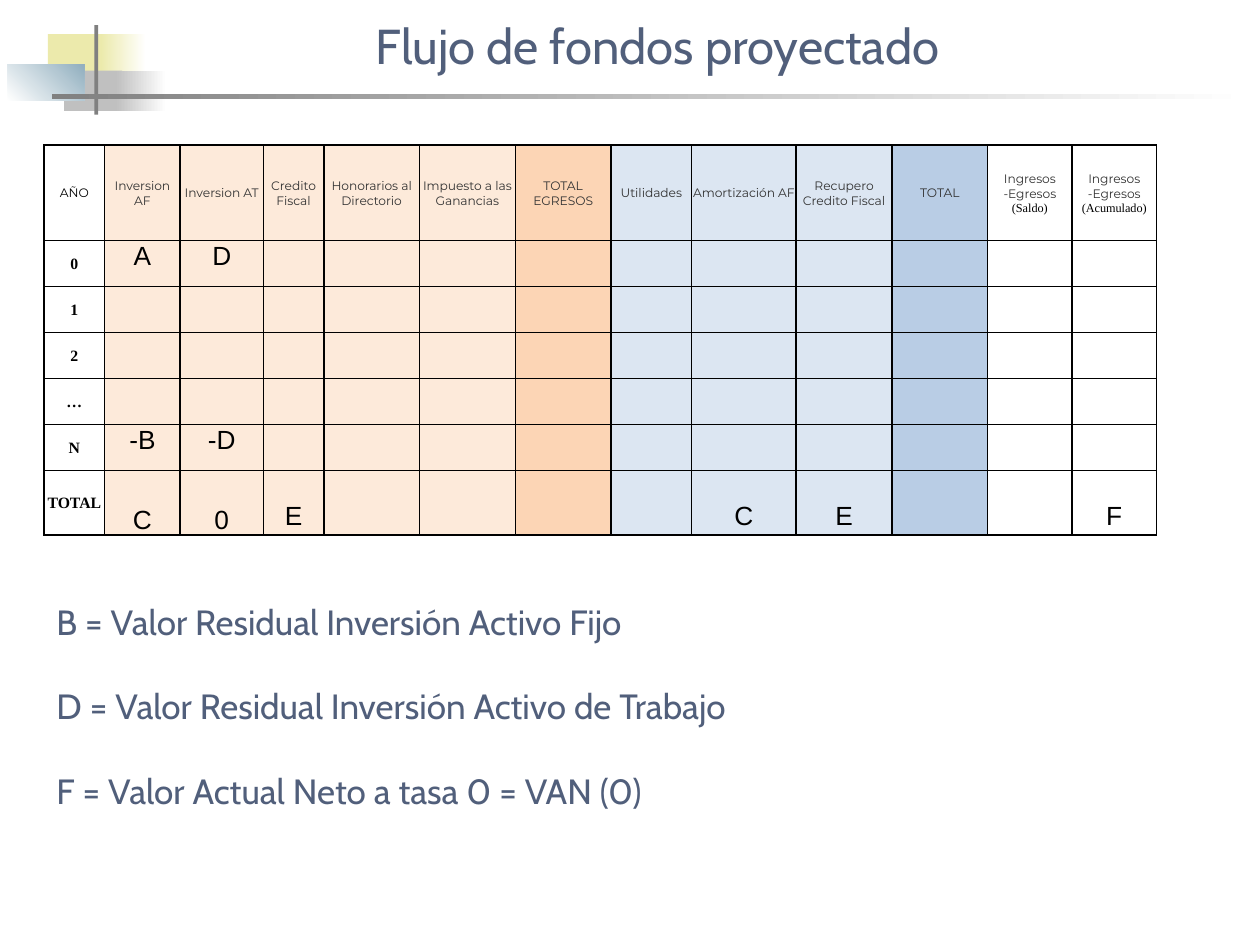
from lxml import etree
from pptx import Presentation
from pptx.dml.color import RGBColor
from pptx.enum.shapes import MSO_SHAPE
from pptx.enum.text import MSO_ANCHOR, PP_ALIGN
from pptx.oxml.ns import qn
from pptx.util import Inches, Pt

RECT = MSO_SHAPE.RECTANGLE
TOP, MID, LOW = MSO_ANCHOR.TOP, MSO_ANCHOR.MIDDLE, MSO_ANCHOR.BOTTOM
LEFT, CENTER = PP_ALIGN.LEFT, PP_ALIGN.CENTER
BLACK = RGBColor(0, 0, 0)
DARK = RGBColor(0x33, 0x33, 0x33)
WHITE = RGBColor(0xFF, 0xFF, 0xFF)
SLATE = RGBColor(0x51, 0x5F, 0x7B)
YELLOW = RGBColor(0xEC, 0xEA, 0xAC)
SILVER = RGBColor(0xC0, 0xC0, 0xC0)
GRAY = RGBColor(0x80, 0x80, 0x80)
STEEL = RGBColor(0x91, 0xAF, 0xBF)
PEACH = RGBColor(0xFD, 0xEA, 0xDA)
ORANGE = RGBColor(0xFC, 0xD5, 0xB5)
PALE = RGBColor(0xDC, 0xE6, 0xF2)
BLUE = RGBColor(0xB9, 0xCD, 0xE5)

TITLE = "Flujo de fondos proyectado"
NOTES = [
    "B = Valor Residual Inversión Activo Fijo",
    "D = Valor Residual Inversión Activo de Trabajo",
    "F = Valor Actual Neto a tasa 0 = VAN (0)",
]
DECOR = [
    (0.38, 0.27, 0.48, 0.32, [YELLOW], 0),
    (0.8, 0.27, 0.36, 0.32, [YELLOW, WHITE], 0),
    (0.51, 0.56, 0.46, 0.32, [SILVER], 0),
    (0.92, 0.56, 0.4, 0.32, [SILVER, WHITE], 0),
    (0.06, 0.51, 0.61, 0.29, [WHITE, STEEL], 45),
    (0.75, 0.2, 0.03, 0.71, [GRAY], 0),
    (0.41, 0.75, 9.51, 0.04, [GRAY, WHITE], 0),
]
COLS = [
    ("AÑO", "", 0.48, None),
    ("Inversion AF", "", 0.6, PEACH),
    ("Inversion AT", "", 0.66, PEACH),
    ("Credito Fiscal", "", 0.48, PEACH),
    ("Honorarios al Directorio", "", 0.76, PEACH),
    ("Impuesto a las Ganancias", "", 0.76, PEACH),
    ("TOTAL EGRESOS", "", 0.76, ORANGE),
    ("Utilidades", "", 0.64, PALE),
    ("Amortización AF", "", 0.83, PALE),
    ("Recupero Credito Fiscal", "", 0.76, PALE),
    ("TOTAL", "", 0.76, BLUE),
    ("Ingresos -Egresos", " (Saldo)", 0.67, None),
    ("Ingresos -Egresos", " (Acumulado)", 0.67, None),
]
YEARS = ["0", "1", "2", "…", "N", "TOTAL"]
HIGH = [0.76] + [0.365] * 5 + [0.51]
MARKS = {
    (1, 1): ("A", TOP, 0), (1, 2): ("D", TOP, 0),
    (5, 1): ("-B", TOP, 0), (5, 2): ("-D", TOP, 0),
    (6, 1): ("C", LOW, 0), (6, 2): ("0", LOW, 0),
    (6, 3): ("E", LOW, 0.03), (6, 8): ("C", LOW, 0.03),
    (6, 9): ("E", LOW, 0.03), (6, 12): ("F", LOW, 0.03),
}


def write(para, text, size, face, color, bold=False):
    run = para.add_run()
    run.text = text
    font = run.font
    font.size, font.name, font.bold = Pt(size), face, bold
    font.color.rgb = color


def border(cell):
    props = cell._tc.get_or_add_tcPr()
    for spot, side in enumerate(("a:lnL", "a:lnR", "a:lnT", "a:lnB")):
        line = etree.Element(qn(side), w=str(Pt(1)))
        fill = etree.SubElement(line, qn("a:solidFill"))
        etree.SubElement(fill, qn("a:srgbClr"), val=str(BLACK))
        props.insert(spot, line)


prs = Presentation()
prs.slide_width, prs.slide_height = Inches(10), Inches(7.5)
slide = prs.slides.add_slide(prs.slide_layouts[5])

for x, y, w, h, tones, angle in DECOR:
    block = slide.shapes.add_shape(RECT, Inches(x), Inches(y), Inches(w), Inches(h))
    block.shadow.inherit = False
    block.line.fill.background()
    if len(tones) == 1:
        block.fill.solid()
        block.fill.fore_color.rgb = tones[0]
    else:
        block.fill.gradient()
        block.fill.gradient_angle = angle
        for stop, tone, place in zip(block.fill.gradient_stops, tones, (0, 1)):
            stop.color.rgb = tone
            stop.position = place

title = slide.shapes.title
title.left, title.top = Inches(2.88), Inches(0.06)
title.width, title.height = Inches(6.53), Inches(0.59)
title.text_frame.vertical_anchor = MID
head = title.text_frame.paragraphs[0]
head.alignment = LEFT
write(head, TITLE, 28, "Cabin", SLATE)

box = slide.shapes.add_textbox(Inches(0.35), Inches(4.72), Inches(9.06), Inches(1.78))
frame = box.text_frame
frame.word_wrap = True
for n, note in enumerate(NOTES):
    para = frame.add_paragraph() if n else frame.paragraphs[0]
    para.space_before = Pt(24 if n else 0)
    write(para, note, 20, "Cabin", SLATE)

grid = slide.shapes.add_table(
    len(HIGH), len(COLS), Inches(0.35), Inches(1.15),
    Inches(sum(col[2] for col in COLS)), Inches(sum(HIGH))).table
for r, high in enumerate(HIGH):
    grid.rows[r].height = Inches(high)
for c, (name, extra, wide, tone) in enumerate(COLS):
    grid.columns[c].width = Inches(wide)
    for r in range(len(HIGH)):
        cell = grid.cell(r, c)
        cell.margin_left = cell.margin_right = cell.margin_top = Inches(0.01)
        cell.margin_bottom = 0
        cell.vertical_anchor = MID
        if tone:
            cell.fill.solid()
            cell.fill.fore_color.rgb = tone
        else:
            cell.fill.background()
        border(cell)
        para = cell.text_frame.paragraphs[0]
        para.alignment = CENTER
        if r == 0:
            write(para, name, 7, "Montserrat", DARK if c else BLACK)
            if extra:
                write(para, extra, 7, "Times New Roman", BLACK)
        elif c == 0:
            write(para, YEARS[r - 1], 9, "Times New Roman", BLACK, True)
        elif (r, c) in MARKS:
            mark, anchor, gap = MARKS[r, c]
            cell.vertical_anchor = anchor
            cell.margin_bottom = Inches(gap)
            write(para, mark, 15, "Arial", BLACK)

prs.save("out.pptx")
